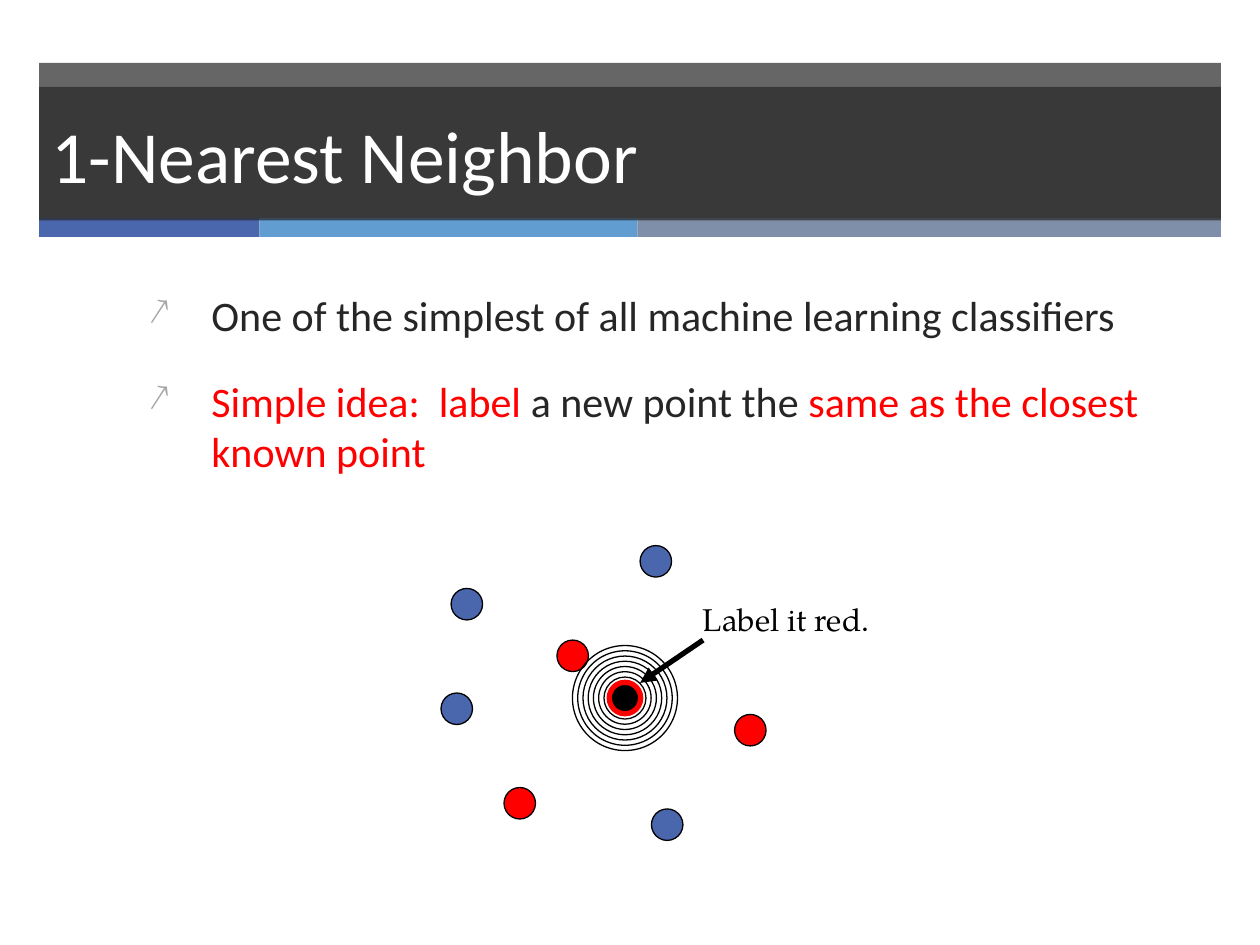
"""Build the 1-Nearest Neighbor slide with its labelled point diagram."""
import pptx
import pptx.dml.color
import pptx.enum.shapes
import pptx.enum.text
import pptx.oxml
import pptx.oxml.ns
import pptx.util
from pptx.util import Inches

THEME = {
    "dark": "262626", "white": "FFFFFF", "black": "000000", "red": "FF0000",
    "blue": "4A66AC", "sky": "629DD1", "slate": "7F8FA9", "bullet": "A6A6A6",
    "body_font": "Calibri", "label_font": "TeX Gyre Pagella",
    "title_size": 42, "body_size": 24, "label_size": 18,
    "thin": 0.75, "thick": 3, "band_opacity": 70,
}
TITLE = "1-Nearest Neighbor"
BULLETS = [
    [("One of the simplest of all machine learning classifiers", "dark")],
    [("Simple idea:  label", "red"), (" a new point the ", "dark"),
     ("same as the closest known point", "red")],
]
LABEL = "Label it red."
BAND_LEFT, BAND_WIDTH = 0.31, 9.38
STRIPES = [("blue", 1.75), ("sky", 3), ("slate", 4.63)]
POINTS = [(3.58, 4.67, "blue"), (4, 6.25, "red"), (5.08, 4.33, "blue"),
          (3.5, 5.5, "blue"), (5.83, 5.67, "red"), (4.42, 5.08, "red"),
          (5.17, 6.42, "blue")]
POINT_SIZE = 0.25
CENTER = (4.96, 5.54)
RING_COUNT, RING_STEP = 7, 1 / 12
ARROW = [(5.08, 5.42), (5.58, 5.08)]
SHAPES = pptx.enum.shapes.MSO_SHAPE


def color(name):
    return pptx.dml.color.RGBColor.from_string(THEME[name])


def add_xml(parent, tag, **attributes):
    child = pptx.oxml.parse_xml(f"<a:{tag} {pptx.oxml.ns.nsdecls('a')}/>")
    for key, value in attributes.items():
        child.set(key, str(value))
    parent.append(child)
    return child


def paint(shape, fill=None, line=None, weight=THEME["thin"], opacity=None):
    if fill:
        shape.fill.solid()
        shape.fill.fore_color.rgb = color(fill)
    else:
        shape.fill.background()
    if opacity:
        rgb = shape.element.spPr.find(".//" + pptx.oxml.ns.qn("a:srgbClr"))
        add_xml(rgb, "alpha", val=opacity * 1000)
    if line:
        shape.line.color.rgb = color(line)
        shape.line.width = pptx.util.Pt(weight)
    else:
        shape.line.fill.background()


def add_shape(page, kind, left, top, width, height, **style):
    shape = page.shapes.add_shape(kind, *map(Inches, (left, top, width, height)))
    shape.shadow.inherit = False
    paint(shape, **style)


def add_circle(page, center, size, **style):
    left, top = (value - size / 2 for value in center)
    add_shape(page, SHAPES.OVAL, left, top, size, size, **style)


def write(para, text, size, font, fill):
    span = para.add_run()
    span.text = text
    span.font.size = pptx.util.Pt(size)
    span.font.name = font
    span.font.color.rgb = color(fill)


def add_header(page):
    style = {"fill": "dark", "opacity": THEME["band_opacity"]}
    add_shape(page, SHAPES.RECTANGLE, BAND_LEFT, 0.5, BAND_WIDTH, 1.24, **style)
    left = BAND_LEFT
    for fill, width in STRIPES:
        add_shape(page, SHAPES.RECTANGLE, left, 1.73, width, 0.15, fill=fill)
        left += width
    title = page.shapes.title
    title.element.getparent().append(title.element)
    title.left, title.top = Inches(BAND_LEFT), Inches(0.69)
    title.width, title.height = Inches(BAND_WIDTH), Inches(1.06)
    paint(title, **style)
    title.text_frame.auto_size = pptx.enum.text.MSO_AUTO_SIZE.NONE
    title.text_frame.vertical_anchor = pptx.enum.text.MSO_ANCHOR.MIDDLE
    para = title.text_frame.paragraphs[0]
    para.alignment = pptx.enum.text.PP_ALIGN.LEFT
    write(para, TITLE, THEME["title_size"], THEME["body_font"], "white")


def add_bullets(page):
    box = page.shapes.add_textbox(*map(Inches, (1.08, 2.25, 8.5, 4.5)))
    frame = box.text_frame
    frame.word_wrap = True
    for index, spans in enumerate(BULLETS):
        para = frame.add_paragraph() if index else frame.paragraphs[0]
        if index:
            para.space_before = pptx.util.Pt(20)
        properties = para._p.get_or_add_pPr()
        properties.set("marL", str(Inches(0.5)))
        properties.set("indent", str(Inches(-0.5)))
        add_xml(add_xml(properties, "buClr"), "srgbClr", val=THEME["bullet"])
        add_xml(properties, "buSzPct", val=90000)
        add_xml(properties, "buChar", char="↗")
        for text, fill in spans:
            write(para, text, THEME["body_size"], THEME["body_font"], fill)


def add_diagram(page):
    for left, top, fill in POINTS:
        add_shape(page, SHAPES.OVAL, left, top, POINT_SIZE, POINT_SIZE,
                  fill=fill, line="black")
    box = page.shapes.add_textbox(*map(Inches, (5.48, 4.71, 1.94, 0.5)))
    box.text_frame.word_wrap = False
    box.text_frame.auto_size = pptx.enum.text.MSO_AUTO_SIZE.SHAPE_TO_FIT_TEXT
    write(box.text_frame.paragraphs[0], LABEL, THEME["label_size"],
          THEME["label_font"], "black")
    for ring in range(RING_COUNT, 0, -1):
        add_circle(page, CENTER, POINT_SIZE + ring * RING_STEP, line="black")
    add_circle(page, CENTER, POINT_SIZE, fill="black", line="red",
               weight=THEME["thick"])
    ends = [Inches(value) for end in ARROW for value in end]
    arrow = page.shapes.add_connector(
        pptx.enum.shapes.MSO_CONNECTOR.STRAIGHT, *ends)
    arrow.line.color.rgb = color("black")
    arrow.line.width = pptx.util.Pt(THEME["thick"])
    add_xml(arrow.line._get_or_add_ln(), "headEnd", type="triangle")
    add_xml(arrow.element.spPr, "effectLst")


def main():
    deck = pptx.Presentation()
    deck.slide_width, deck.slide_height = Inches(10), Inches(7.5)
    page = deck.slides.add_slide(deck.slide_layouts[5])
    add_header(page)
    add_bullets(page)
    add_diagram(page)
    deck.save("out.pptx")


if __name__ == "__main__":
    main()
